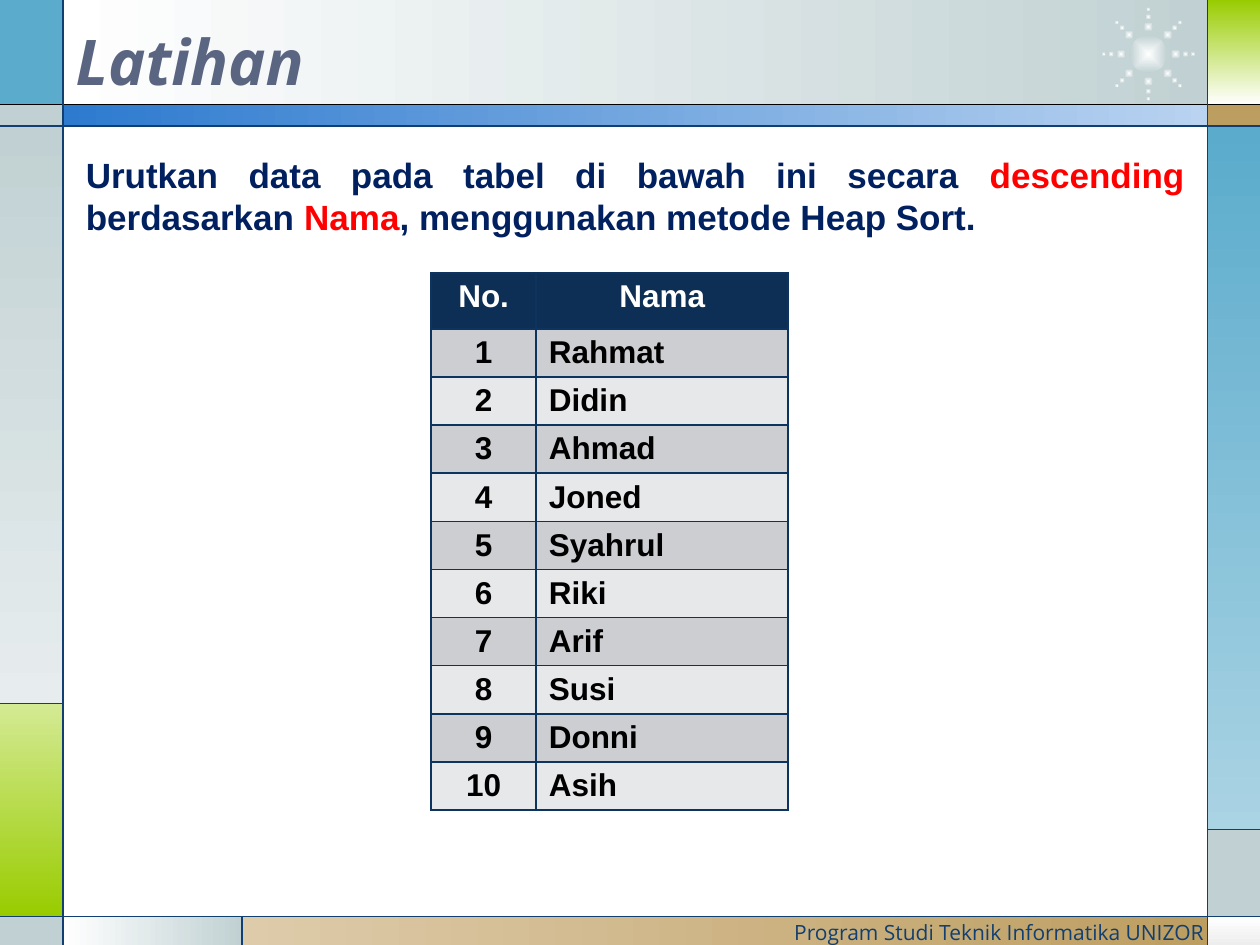
from math import cos, radians, sin

from pptx import Presentation
from pptx.dml.color import RGBColor
from pptx.enum.shapes import MSO_CONNECTOR, MSO_SHAPE
from pptx.enum.text import MSO_ANCHOR, MSO_AUTO_SIZE, PP_ALIGN
from pptx.oxml import parse_xml
from pptx.oxml.ns import nsdecls, qn
from pptx.oxml.xmlchemy import OxmlElement
from pptx.util import Cm, Pt

WIDTH, HEIGHT = 25.4, 19.05
LEFT, RIGHT = 1.27, 24.34
TOP, BAR, FOOT = 2.11, 2.54, 18.47
GREEN_TOP, GREY_TOP, FOOT_SPLIT = 14.18, 16.72, 4.88
ACROSS, DOWN = 0, 270


def color(value):
    """Turn a hex string into a colour."""
    return RGBColor.from_string(value)


class SlideBuilder:
    """Holds the style and the current slide."""

    body_font, display_font = "Arial", "Open Sans"
    navy, mist, white = "113F71", "C1D1D3", "FFFFFF"
    stripes = ("E7E8EA", "CCCED2")
    header_fill, border = "0D2F55", "0D345F"

    def __init__(self, presentation):
        """Add a title-only slide."""
        self.slide = presentation.slides.add_slide(presentation.slide_layouts[5])
        self.shapes = self.slide.shapes

    def style(self, font, name, size, value, bold=False, italic=False):
        """Set every property of a font."""
        font.name, font.size = name, Pt(size)
        font.bold, font.italic = bold, italic
        font.color.rgb = color(value)

    def shape(self, kind, left, top, width, height, fills, angle=ACROSS):
        """Add an unlined shape with one colour or a two-colour gradient."""
        shape = self.shapes.add_shape(kind, Cm(left), Cm(top), Cm(width), Cm(height))
        shape.shadow.inherit = False
        shape.line.fill.background()
        if len(fills) == 1:
            shape.fill.solid()
            shape.fill.fore_color.rgb = color(fills[0])
        else:
            shape.fill.gradient()
            shape.fill.gradient_angle = angle
            for stop, value, position in zip(shape.fill.gradient_stops, fills, (0, 1)):
                stop.color.rgb = color(value)
                stop.position = position
        return shape

    def panel(self, left, top, right, bottom, fills, angle=ACROSS):
        """Add a rectangle given by its four edges."""
        self.shape(MSO_SHAPE.RECTANGLE, left, top, right - left, bottom - top, fills, angle)

    def dot(self, x, y, size):
        """Add a glowing dot centred on a point."""
        dot = self.shape(MSO_SHAPE.OVAL, x - size / 2, y - size / 2, size, size,
                         (self.white, self.mist))
        gradient = dot.element.spPr.find(qn("a:gradFill"))
        gradient.replace(gradient.find(qn("a:lin")), parse_xml(
            f'<a:path {nsdecls("a")} path="shape">'
            '<a:fillToRect l="50000" t="50000" r="50000" b="50000"/></a:path>'))

    def burst(self, x, y):
        """Add a core with eight rays of shrinking dots."""
        self.dot(x, y, 0.76)
        for angle in range(0, 360, 45):
            for distance, size in ((0.55, 0.19), (0.75, 0.12), (0.9, 0.09)):
                self.dot(x + distance * cos(radians(angle)),
                         y + distance * sin(radians(angle)), size)

    def line(self, x1, y1, x2, y2, value=navy):
        """Add a thin line without shadow."""
        line = self.shapes.add_connector(
            MSO_CONNECTOR.STRAIGHT, Cm(x1), Cm(y1), Cm(x2), Cm(y2))
        line.line.color.rgb = color(value)
        line.line.width = Pt(0.75)
        line.element.spPr.append(OxmlElement("a:effectLst"))

    def title(self, text, left, top, width, height):
        """Place the title in front of the panels."""
        title = self.shapes.title
        title.element.getparent().append(title.element)
        title.left, title.top = Cm(left), Cm(top)
        title.width, title.height = Cm(width), Cm(height)
        frame = title.text_frame
        frame.text = text
        frame.auto_size = MSO_AUTO_SIZE.NONE
        frame.vertical_anchor = MSO_ANCHOR.MIDDLE
        frame.paragraphs[0].alignment = PP_ALIGN.LEFT
        self.style(frame.paragraphs[0].font, self.display_font, 36, "5A6581", True, True)

    def text(self, runs, left, top, width, height, alignment, name, size, bold=False):
        """Add a paragraph of (text, colour) runs."""
        box = self.shapes.add_textbox(Cm(left), Cm(top), Cm(width), Cm(height))
        box.text_frame.word_wrap = True
        paragraph = box.text_frame.paragraphs[0]
        paragraph.alignment = alignment
        for words, value in runs:
            run = paragraph.add_run()
            run.text = words
            self.style(run.font, name, size, value, bold)

    def cell(self, cell, text, fill, value, alignment):
        """Fill, border and label one table cell."""
        for side in ("lnL", "lnR", "lnT", "lnB"):
            cell._tc.get_or_add_tcPr().append(parse_xml(
                f'<a:{side} {nsdecls("a")} w="12700"><a:solidFill>'
                f'<a:srgbClr val="{self.border}"/></a:solidFill></a:{side}>'))
        cell.fill.solid()
        cell.fill.fore_color.rgb = color(fill)
        cell.text = text
        paragraph = cell.text_frame.paragraphs[0]
        paragraph.alignment = alignment
        self.style(paragraph.font, self.body_font, 18, value, True)

    def table(self, headers, names, left, top, widths, header_height, row_height):
        """Add a numbered, striped list of names."""
        rows = [headers] + [(str(number), name) for number, name in enumerate(names, 1)]
        table = self.shapes.add_table(
            len(rows), len(widths), Cm(left), Cm(top), Cm(sum(widths)),
            Cm(header_height + row_height * len(names))).table
        for column, width in zip(table.columns, widths):
            column.width = Cm(width)
        for index, row in enumerate(rows):
            header = index == 0
            table.rows[index].height = Cm(header_height if header else row_height)
            fill = self.header_fill if header else self.stripes[index % 2]
            for position, text in enumerate(row):
                centred = header or position == 0
                self.cell(table.cell(index, position), text, fill,
                          self.white if header else "000000",
                          PP_ALIGN.CENTER if centred else PP_ALIGN.LEFT)


def main():
    """Build and save the exercise slide."""
    presentation = Presentation()
    presentation.slide_width, presentation.slide_height = Cm(WIDTH), Cm(HEIGHT)
    builder = SlideBuilder(presentation)
    mist, white, sky, green, sand = builder.mist, builder.white, "5AABCC", "99CC00", "BD9E61"

    for panel in (
        (LEFT, 0, RIGHT, TOP, (white, mist)),
        (0, 0, LEFT, TOP, (sky,)),
        (0, TOP, LEFT, BAR, (mist,)),
        (0, BAR, LEFT, GREEN_TOP, (mist, "E7EDEE"), DOWN),
        (0, GREEN_TOP, LEFT, FOOT, ("D4EA94", green), DOWN),
        (0, FOOT, LEFT, HEIGHT, (mist,)),
        (LEFT, FOOT, FOOT_SPLIT, HEIGHT, (white, mist)),
        (FOOT_SPLIT, FOOT, RIGHT, HEIGHT, ("DECBAA", sand)),
        (RIGHT, FOOT, WIDTH, HEIGHT, (white, "EDEDED"), DOWN),
        (RIGHT, GREY_TOP, WIDTH, FOOT, (mist,)),
        (RIGHT, BAR, WIDTH, GREY_TOP, (sky, "AAD3E4"), DOWN),
        (RIGHT, TOP, WIDTH, BAR, (sand,)),
        (RIGHT, 0, WIDTH, TOP, (green, white), DOWN),
        (LEFT, TOP, RIGHT, BAR, ("2D7ACF", "B9D3F0")),
    ):
        builder.panel(*panel)
    builder.burst(23.15, 1.09)

    builder.line(0, TOP, WIDTH, TOP, "000000")
    for y in (BAR, FOOT):
        builder.line(0, y, WIDTH, y)
    for x in (LEFT, RIGHT):
        builder.line(x, 0, x, HEIGHT)
    builder.line(0, GREEN_TOP, LEFT, GREEN_TOP)
    builder.line(FOOT_SPLIT, FOOT, FOOT_SPLIT, HEIGHT)
    builder.line(RIGHT, GREY_TOP, WIDTH, GREY_TOP)

    builder.text([("Program Studi Teknik Informatika UNIZOR", builder.navy)],
                 14.17, 18.42, 10.36, 0.46, PP_ALIGN.RIGHT, builder.display_font, 12)
    builder.title("Latihan", LEFT, 0.43, 17.78, 1.57)
    builder.table(("No.", "Nama"),
                  ("Rahmat", "Didin", "Ahmad", "Joned", "Syahrul",
                   "Riki", "Arif", "Susi", "Donni", "Asih"),
                  8.69, 5.5, (2.12, 5.08), 1.13, 0.97)
    blue, red = "002060", "FF0000"
    builder.text([("Urutkan data pada tabel di bawah ini secara ", blue),
                  ("descending ", red), ("berdasarkan ", blue), ("Nama", red),
                  (", menggunakan metode Heap Sort.", blue)],
                 1.48, 2.96, 22.65, 1.97, PP_ALIGN.JUSTIFY, builder.body_font, 20, True)
    presentation.save("out.pptx")


main()
